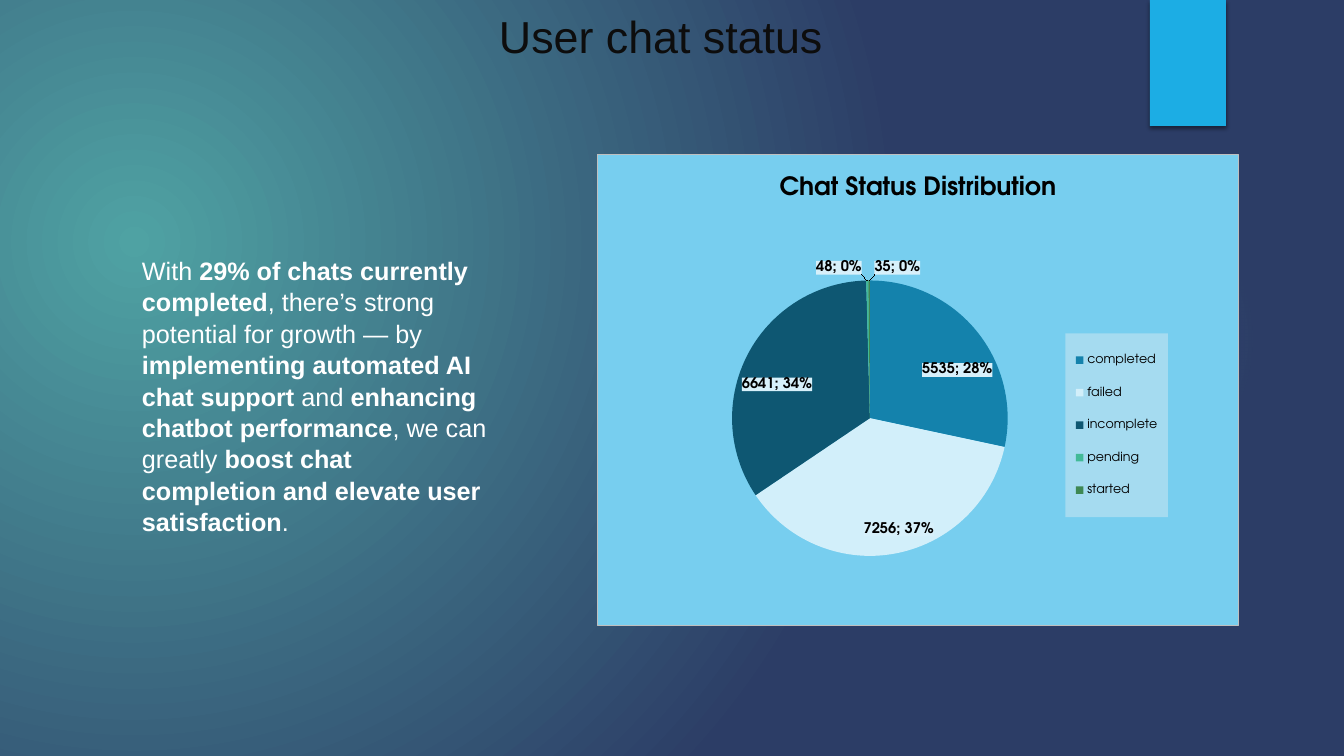
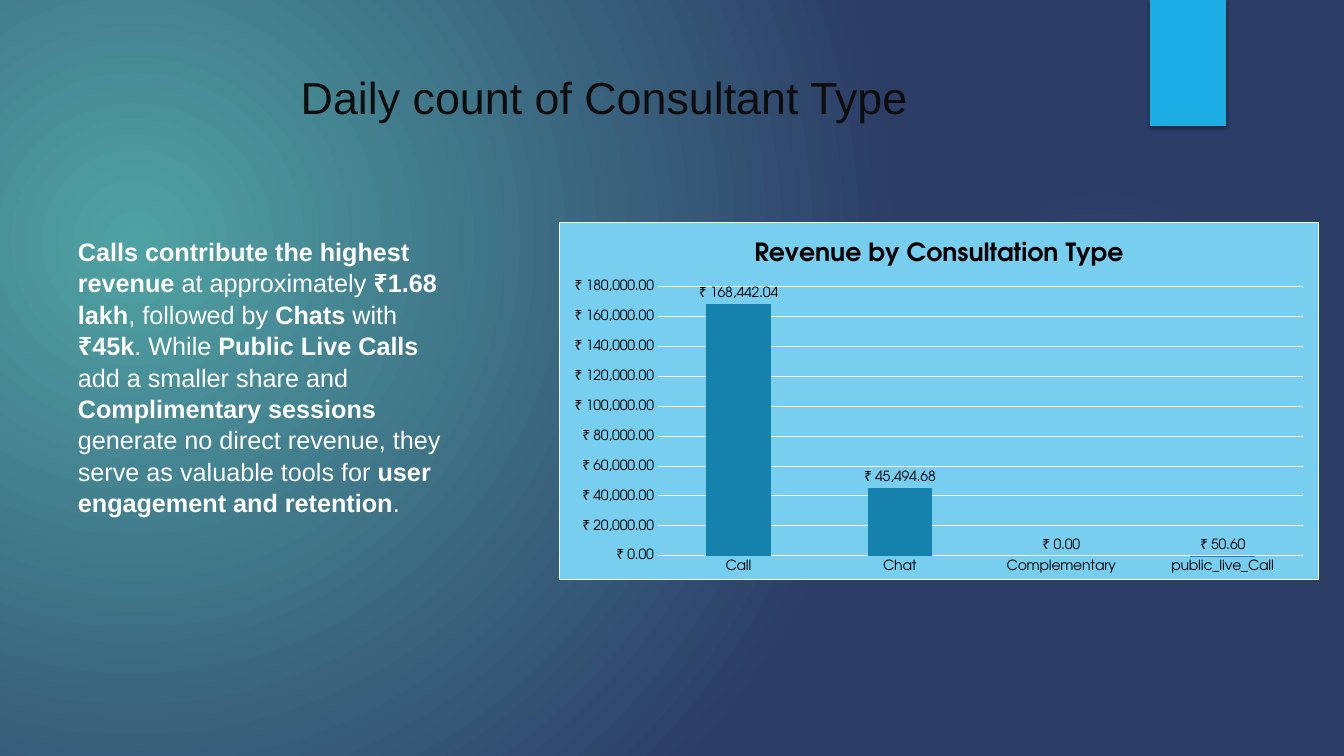
from dataclasses import dataclass

from pptx import Presentation
from pptx import oxml as ox
from pptx import util as u
from pptx.chart import data as cd
from pptx.dml import color as co
from pptx.enum import chart as ce, shapes as es, text as et
from pptx.oxml import ns

SCALE = 914400 / 100.8


@dataclass(frozen=True)
class Theme:
    glow: tuple = (("4FA2A3", 0, 100), ("2C3D66", 100, 100))
    halo: tuple = (("70A1C0", 0, 7), ("70A1C0", 36, 6), ("70A1C0", 69, 0))
    tab: str = "1CADE4"
    head: str = "0D0D0D"
    body: str = "FFFFFF"
    ink: str = "000000"
    panel: str = "77CEEF"
    key: str = "A5DBF0"
    tag: str = "D7F0FA"
    edge: str = "BFBFBF"
    grid: str = "FFFFFF"
    slices: tuple = ("1482AC", "D2EFFA", "0E5772", "42BA97", "3E8853")
    face: str = "Arial"
    plot: str = "TeX Gyre Adventor"
    big: int = 32
    text: int = 18
    label: float = 10.5
    axis: int = 10
    small: int = 9


T = Theme()
MONEY = '"₹"\\ #,##0.00'


def px(n):
    return u.Emu(round(n * SCALE))


def box(*vals):
    return [px(v) for v in vals]


def put(obj, **vals):
    for name, val in vals.items():
        setattr(obj, name, val)


def ink(font, size, tint, face, bold=False):
    put(font, size=u.Pt(size), name=face, bold=bold)
    font.color.rgb = co.RGBColor.from_string(tint)


def paint(fill, tint):
    fill.solid()
    fill.fore_color.rgb = co.RGBColor.from_string(tint)


def xml(tag, inner):
    return ox.parse_xml(f"<{tag} {ns.nsdecls('a', 'c')}>{inner}</{tag}>")


def fade(fill, parent, stops, rect):
    fill.gradient()
    marks = "".join(
        f'<a:gs pos="{pos * 1000}"><a:srgbClr val="{tint}">'
        f'<a:alpha val="{alpha * 1000}"/></a:srgbClr></a:gs>'
        for tint, pos, alpha in stops)
    sides = " ".join(f'{k}="{v * 1000}"' for k, v in zip("ltrb", rect))
    new = xml("a:gradFill", f"<a:gsLst>{marks}</a:gsLst>"
              f'<a:path path="circle"><a:fillToRect {sides}/></a:path>')
    old = next(parent.iter(ns.qn("a:gradFill")))
    old.getparent().replace(old, new)


def area(tint, edge=None):
    line = f'<a:solidFill><a:srgbClr val="{edge}"/></a:solidFill>' if edge else "<a:noFill/>"
    return xml("c:spPr", f'<a:solidFill><a:srgbClr val="{tint}"/></a:solidFill>'
               f'<a:ln w="9525">{line}</a:ln>')


def layout(x, y, w, h, inner=False):
    target = '<c:layoutTarget val="inner"/>' if inner else ""
    modes = '<c:xMode val="edge"/><c:yMode val="edge"/>'
    sizes = "".join(f'<c:{k} val="{v}"/>' for k, v in zip("xywh", (x, y, w, h)))
    return xml("c:layout", f"<c:manualLayout>{target}{modes}{sizes}</c:manualLayout>")


def decor(slide):
    add = slide.shapes.add_shape
    halo = add(es.MSO_SHAPE.OVAL, *box(949, 184, 310, 310))
    halo.shadow.inherit = False
    halo.line.fill.background()
    fade(halo.fill, halo.element, T.halo, (50, 50, 50, 50))
    tab = add(es.MSO_SHAPE.RECTANGLE, *box(1150, 0, 76, 126))
    paint(tab.fill, T.tab)
    tab.line.fill.background()
    tab.element.spPr.append(xml(
        "a:effectLst", '<a:outerShdw blurRad="38100" dist="25400" dir="5400000">'
        '<a:srgbClr val="000000"><a:alpha val="45000"/></a:srgbClr></a:outerShdw>'))


def head(slide, text, area):
    shape = slide.shapes.title
    put(shape, **dict(zip(("left", "top", "width", "height"), box(*area))))
    frame = shape.text_frame
    frame.text = text
    put(frame, word_wrap=True, auto_size=et.MSO_AUTO_SIZE.NONE,
        vertical_anchor=et.MSO_ANCHOR.TOP, margin_top=px(9))
    para = frame.paragraphs[0]
    para.alignment = et.PP_ALIGN.CENTER
    ink(para.runs[0].font, T.big, T.head, T.face)


def body(slide, text, area):
    frame = slide.shapes.add_textbox(*box(*area)).text_frame
    frame.word_wrap = True
    para = frame.paragraphs[0]
    para.line_spacing = 1.04
    for i, part in enumerate(text.split("**")):
        if part:
            run = para.add_run()
            run.text = part
            ink(run.font, T.text, T.body, T.face, i % 2 == 1)


def graph(slide, kind, title, rows, area_px, edge):
    data = cd.CategoryChartData()
    data.categories = list(rows)
    data.add_series("Series 1", list(rows.values()))
    chart = slide.shapes.add_chart(kind, *box(*area_px), data).chart
    ink(chart.font, T.axis, T.ink, T.plot)
    put(chart, has_title=True, has_legend=False)
    frame = chart.chart_title.text_frame
    frame.text = title
    ink(frame.paragraphs[0].runs[0].font, T.text, T.ink, T.plot, True)
    chart.chart_title.include_in_layout = False
    root = chart.element
    root.find(ns.qn("c:chart")).addnext(area(T.panel, edge))
    next(root.iter(ns.qn("c:plotArea"))).append(area(T.panel))
    return chart


def pie(slide, title, rows, place):
    chart = graph(slide, ce.XL_CHART_TYPE.PIE, title, rows, place, T.edge)
    plot = chart.plots[0]
    plot.vary_by_categories = True
    for i, tint in enumerate(T.slices):
        paint(plot.series[0].points[i].format.fill, tint)
    tags = plot.series[0].data_labels
    put(tags, show_value=True, show_percentage=True,
        position=ce.XL_LABEL_POSITION.BEST_FIT)
    ink(tags.font, T.label, T.ink, T.plot, True)
    root = chart.element
    root.find(".//" + ns.qn("c:dLbls")).find(ns.qn("c:txPr")).addprevious(area(T.tag))
    zone = next(root.iter(ns.qn("c:plotArea")))
    for old in zone.findall(ns.qn("c:layout")):
        zone.remove(old)
    zone.insert(0, layout(0.21, 0.22, 0.43, 0.68, True))
    chart.has_legend = True
    key = chart.legend
    put(key, position=ce.XL_LEGEND_POSITION.RIGHT, include_in_layout=False)
    ink(key.font, T.small, T.ink, T.plot)
    node = next(root.iter(ns.qn("c:legend")))
    node.find(ns.qn("c:legendPos")).addnext(layout(0.73, 0.38, 0.16, 0.39))
    node.find(ns.qn("c:txPr")).addprevious(area(T.key))


def bars(slide, title, rows, place):
    chart = graph(slide, ce.XL_CHART_TYPE.COLUMN_CLUSTERED, title, rows, place, T.grid)
    plot = chart.plots[0]
    put(plot, vary_by_categories=False, gap_width=150, has_data_labels=True)
    paint(plot.series[0].format.fill, T.slices[0])
    tags = plot.data_labels
    put(tags, show_value=True, number_format=MONEY, number_format_is_linked=False,
        position=ce.XL_LABEL_POSITION.OUTSIDE_END)
    ink(tags.font, T.axis, T.ink, T.plot)
    for axis in (chart.category_axis, chart.value_axis):
        put(axis, major_tick_mark=ce.XL_TICK_MARK.NONE,
            minor_tick_mark=ce.XL_TICK_MARK.NONE)
        axis.format.line.fill.background()
        ink(axis.tick_labels.font, T.axis, T.ink, T.plot)
    axis = chart.value_axis
    put(axis, minimum_scale=0, maximum_scale=180000, major_unit=20000,
        has_major_gridlines=True)
    put(axis.tick_labels, number_format=MONEY, number_format_is_linked=False)
    line = axis.major_gridlines.format.line
    line.width = u.Pt(0.75)
    paint(line.fill, T.grid)


PAGES = (
    dict(title="User chat status", top=(88, 0, 1146, 83),
         text="With **29% of chats currently completed**, there’s strong potential for "
              "growth — by **implementing automated AI chat support** and **enhancing "
              "chatbot performance**, we can greatly **boost chat completion and elevate "
              "user satisfaction**.",
         left=(132, 249, 370, 254), draw=pie, name="Chat Status Distribution",
         rows={"completed": 5535, "failed": 7256, "incomplete": 6641,
               "pending": 48, "started": 35},
         right=(597, 154, 642, 472)),
    dict(title="Daily count of Consultant Type", top=(222, 61, 765, 83),
         text="**Calls contribute the highest revenue** at approximately **₹1.68 lakh**, "
              "followed by **Chats** with **₹45k**. While **Public Live Calls** add a "
              "smaller share and **Complimentary sessions** generate no direct revenue, "
              "they serve as valuable tools for **user engagement and retention**.",
         left=(68, 230, 386, 285), draw=bars, name="Revenue by Consultation Type",
         rows={"Call": 168442.04, "Chat": 45494.68, "Complementary": 0,
               "public_live_Call": 50.6},
         right=(559, 222, 760, 358)),
)


def main():
    deck = Presentation()
    put(deck, slide_width=px(1344), slide_height=px(756))
    base = deck.slide_master
    fade(base.background.fill, base.element, T.glow, (45, 65, 125, 100))
    for page in PAGES:
        slide = deck.slides.add_slide(deck.slide_layouts[5])
        decor(slide)
        head(slide, page["title"], page["top"])
        body(slide, page["text"], page["left"])
        page["draw"](slide, page["name"], page["rows"], page["right"])
    deck.save("out.pptx")


if __name__ == "__main__":
    main()
